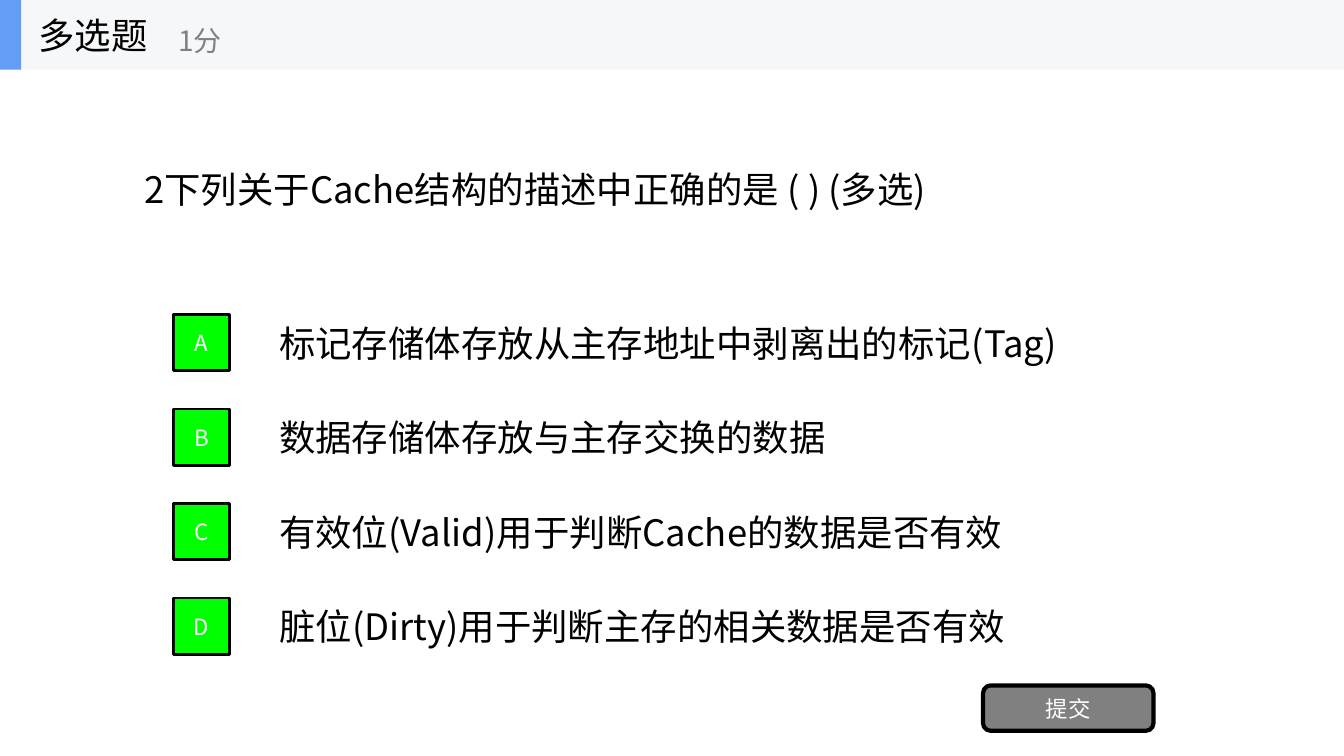
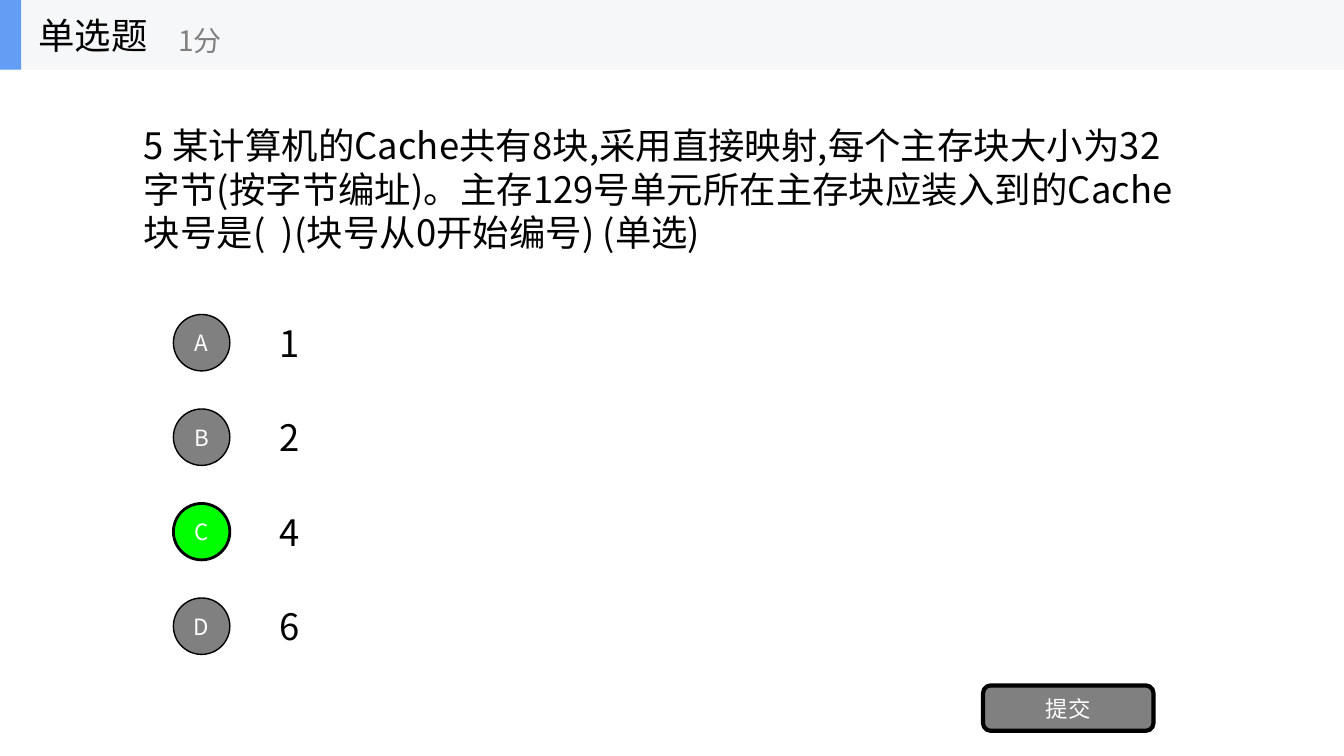
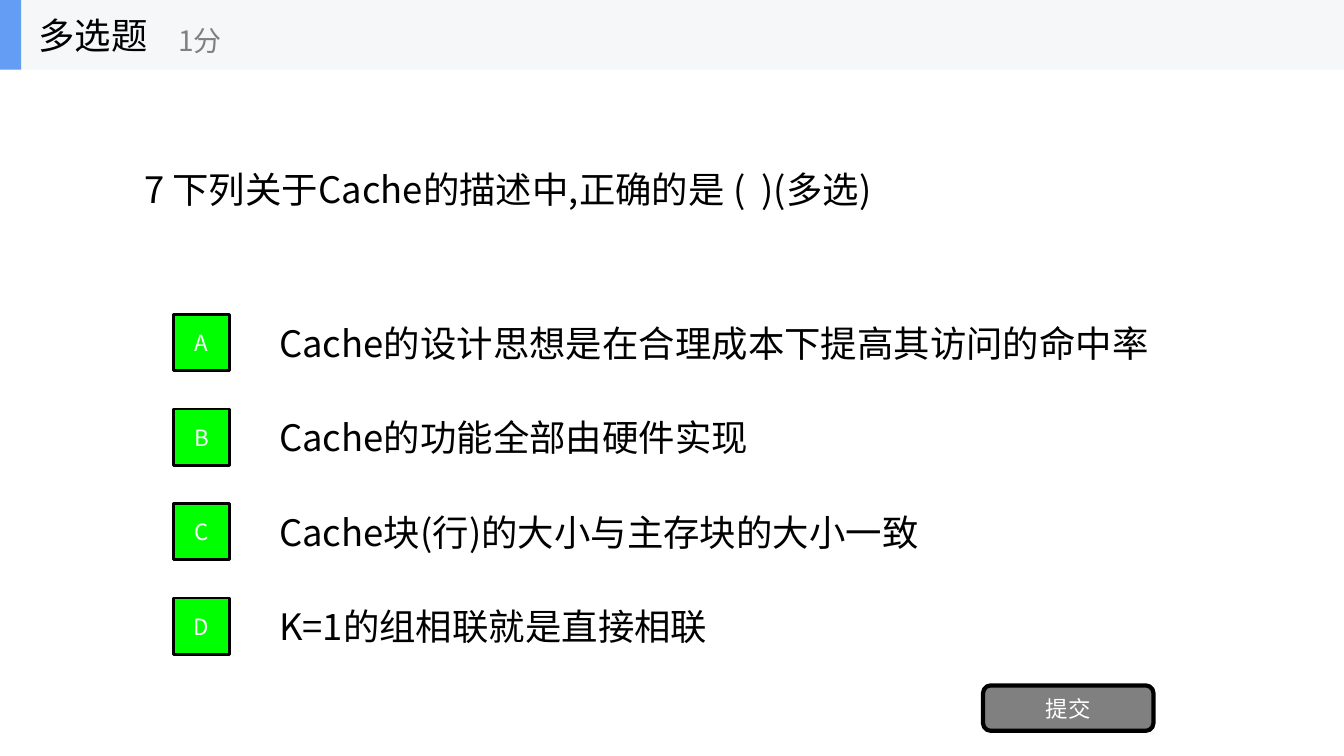
"""Build three quiz slides about cache memory."""
from dataclasses import dataclass

from pptx import Presentation
from pptx.dml.color import RGBColor
from pptx.enum.shapes import MSO_SHAPE
from pptx.enum.text import MSO_ANCHOR, MSO_AUTO_SIZE, PP_ALIGN
from pptx.oxml.ns import qn
from pptx.util import Inches, Pt


@dataclass(frozen=True)
class Theme:
    font: str = "Noto Sans CJK SC"
    ink: str = "000000"
    light: str = "FFFFFF"
    muted: str = "808080"
    correct: str = "00FF00"
    band: str = "F6F7F8"
    accent: str = "639EF4"
    text_size: int = 26
    points_size: int = 20
    label_size: int = 16


THEME = Theme()
WIDTH, HEIGHT = 13.33, 7.5
HEADER_HEIGHT = 0.69
LINE_HEIGHT = 0.53
QUESTION_LEFT, QUESTION_MIDDLE = 1.33, 1.87
OPTION_LEFT, OPTION_MIDDLE, OPTION_PITCH = 2.67, 3.4, HEIGHT / 8
BADGE_LEFT, BADGE_SIZE = 1.72, 0.56
POINTS, SUBMIT = "1分", "提交"
SUBMIT_AREA = (9.75, 6.8, 1.69, 0.45)
POINTS_AREA = (1.67, 0.12, 2.5, 0.56)
TITLE_AREA = (0.28, 0, 2.08, HEADER_HEIGHT)
BADGE_SHAPES = {"多选题": MSO_SHAPE.RECTANGLE, "单选题": MSO_SHAPE.OVAL}

QUIZ = [
    {
        "type": "多选题",
        "question": ("2下列关于Cache结构的描述中正确的是 ( ) (多选)", 8.15, LINE_HEIGHT),
        "options": [
            ("标记存储体存放从主存地址中剥离出的标记(Tag)", 8),
            ("数据存储体存放与主存交换的数据", 5.72),
            ("有效位(Valid)用于判断Cache的数据是否有效", 7.49),
            ("脏位(Dirty)用于判断主存的相关数据是否有效", 7.53),
        ],
        "answers": "ABCD",
    },
    {
        "type": "单选题",
        "question": (
            "5 某计算机的Cache共有8块,采用直接映射,每个主存块大小为32字节(按字节编址)。"
            "主存129号单元所在主存块应装入到的Cache块号是(  )(块号从0开始编号) (单选)",
            10.57,
            1.4,
        ),
        "options": [("1", 0.52), ("2", 0.52), ("4", 0.52), ("6", 0.52)],
        "answers": "C",
    },
    {
        "type": "多选题",
        "question": ("7 下列关于Cache的描述中,正确的是 (  )(多选)", 7.51, LINE_HEIGHT),
        "options": [
            ("Cache的设计思想是在合理成本下提高其访问的命中率", 8.94),
            ("Cache的功能全部由硬件实现", 4.97),
            ("Cache块(行)的大小与主存块的大小一致", 6.65),
            ("K=1的组相联就是直接相联", 4.63),
        ],
        "answers": "ABCD",
    },
]


def inches(area):
    return [Inches(length) for length in area]


def write(box, text, size, color, align=PP_ALIGN.LEFT, fit=MSO_AUTO_SIZE.NONE):
    frame = box.text_frame
    frame.text = text
    frame.word_wrap = True
    frame.auto_size = fit
    frame.vertical_anchor = MSO_ANCHOR.MIDDLE
    para = frame.paragraphs[0]
    para.alignment = align
    for span in para.runs:
        span.font.size = Pt(size)
        span.font.name = THEME.font
        span.font.color.rgb = RGBColor.from_string(color)
        east_asian = span.font._element.makeelement(qn("a:ea"), {"typeface": THEME.font})
        span.font._element.find(qn("a:latin")).addnext(east_asian)


def add_text(page, area, text, size=THEME.text_size, color=THEME.ink, fit=MSO_AUTO_SIZE.NONE):
    write(page.shapes.add_textbox(*inches(area)), text, size, color, fit=fit)


def add_block(page, kind, area, fill, line_width=0):
    block = page.shapes.add_shape(kind, *inches(area))
    block.shadow.inherit = False
    block.fill.solid()
    block.fill.fore_color.rgb = RGBColor.from_string(fill)
    if line_width:
        block.line.color.rgb = RGBColor.from_string(THEME.ink)
        block.line.width = Pt(line_width)
    else:
        block.line.fill.background()
    return block


def add_label(page, kind, area, text, fill, line_width):
    block = add_block(page, kind, area, fill, line_width)
    write(block, text, THEME.label_size, THEME.light, PP_ALIGN.CENTER)


def define_header(page):
    """Move the header bands into the layout and place its title over them."""
    title = page.slide_layout.placeholders[0]
    title.left, title.top, title.width, title.height = inches(TITLE_AREA)
    bands = [(WIDTH, THEME.band), (0.21, THEME.accent)]
    for number, (width, color) in enumerate(bands, 101):
        band = add_block(page, MSO_SHAPE.RECTANGLE, (0, 0, width, HEADER_HEIGHT), color)
        band.element.nvSpPr.cNvPr.set("id", str(number))
        title.element.addprevious(band.element)


def add_question(page, item):
    write(page.shapes.title, item["type"], THEME.text_size, THEME.ink)
    add_text(page, POINTS_AREA, POINTS, THEME.points_size, THEME.muted)
    text, width, height = item["question"]
    area = (QUESTION_LEFT, QUESTION_MIDDLE - height / 2, width, height)
    add_text(page, area, text, fit=MSO_AUTO_SIZE.SHAPE_TO_FIT_TEXT)
    for row, (letter, (text, width)) in enumerate(zip("ABCD", item["options"])):
        middle = OPTION_MIDDLE + row * OPTION_PITCH
        area = (OPTION_LEFT, middle - LINE_HEIGHT / 2, width, LINE_HEIGHT)
        add_text(page, area, text, fit=MSO_AUTO_SIZE.SHAPE_TO_FIT_TEXT)
        fill, line_width = (THEME.correct, 2) if letter in item["answers"] else (THEME.muted, 1)
        area = (BADGE_LEFT, middle - BADGE_SIZE / 2, BADGE_SIZE, BADGE_SIZE)
        add_label(page, BADGE_SHAPES[item["type"]], area, letter, fill, line_width)
    add_label(page, MSO_SHAPE.ROUNDED_RECTANGLE, SUBMIT_AREA, SUBMIT, THEME.muted, 3)


def main():
    deck = Presentation()
    deck.slide_width, deck.slide_height = inches((WIDTH, HEIGHT))
    pages = [deck.slides.add_slide(deck.slide_layouts[5]) for _ in QUIZ]
    define_header(pages[0])
    for page, item in zip(pages, QUIZ):
        add_question(page, item)
    deck.save("out.pptx")


if __name__ == "__main__":
    main()
